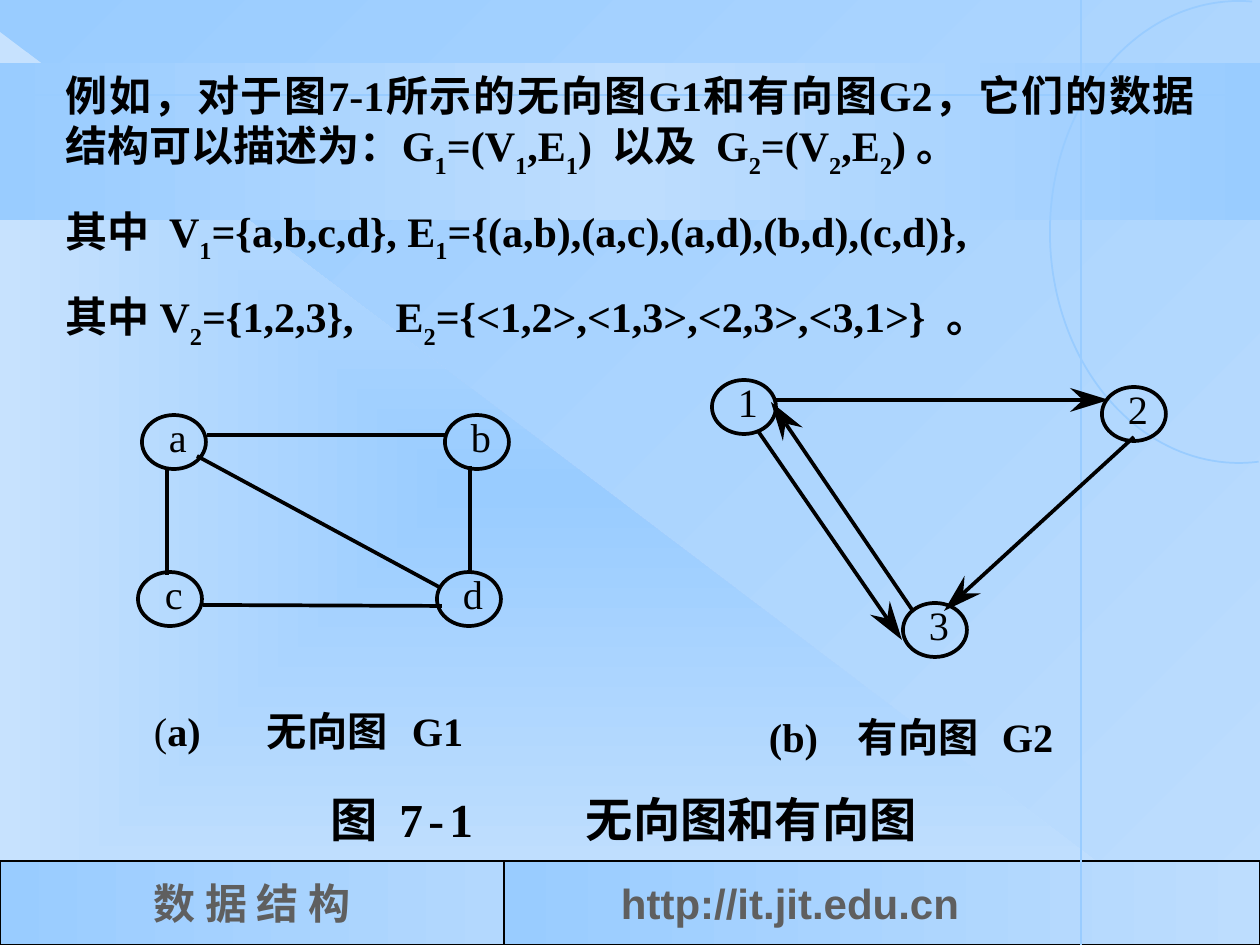
from math import cos, hypot, radians, sin
from lxml import etree
from pptx import Presentation
from pptx.dml.color import RGBColor
from pptx.enum.shapes import MSO_CONNECTOR, MSO_SHAPE
from pptx.enum.text import MSO_ANCHOR, MSO_AUTO_SIZE, PP_ALIGN
from pptx.oxml.ns import qn
from pptx.util import Pt

RECT, OVAL, WEDGE = MSO_SHAPE.RECTANGLE, MSO_SHAPE.OVAL, MSO_SHAPE.RIGHT_TRIANGLE
LINE = MSO_CONNECTOR.STRAIGHT
LEFT, CENTER, FULL = PP_ALIGN.LEFT, PP_ALIGN.CENTER, PP_ALIGN.JUSTIFY
TOP, MIDDLE = MSO_ANCHOR.TOP, MSO_ANCHOR.MIDDLE
PX = 914400 // 126
SERIF, SANS, HAN = "Times New Roman", "Arial", "Noto Sans CJK SC"
HEX = {"sky": "99CCFF", "pale": "BDDDFE", "mist": "C7E2FE", "soft": "B3D8FE",
       "ink": "000000", "gray": "5F5F5F"}

# Content: "_" lowers the next character
BODY = [
    "例如，对于图7-1所示的无向图G1和有向图G2，它们的数据结构可以描述为：G_1=(V_1,E_1)  以及  G_2=(V_2,E_2) 。",
    "其中  V_1={a,b,c,d}, E_1={(a,b),(a,c),(a,d),(b,d),(c,d)},",
    "其中 V_2={1,2,3},    E_2={<1,2>,<1,3>,<2,3>,<3,1>}  。",
]
TITLE = ("图 7-1", "无向图和有向图")
NODES = {"a": (174, 442), "b": (477, 442), "c": (170, 599), "d": (469, 599),
         "1": (744, 407), "2": (1134, 414), "3": (935, 630)}
EDGES = [(207, 435, 446, 435), (203, 605, 442, 606), (167, 470, 167, 575),
         (470, 466, 470, 571), (197, 456, 441, 588)]
ARROWS = [(775, 400, 1109, 400), (1134, 437, 944, 611),
          (913, 611, 771, 402), (758, 431, 902, 640)]
NOTES = [  # left, middle, tab stops, (text, bold) runs
    (154, 730, (113, 258), [("(", False), ("a)\t无向图\tG1", True)]),
    (769, 736, (89, 233), [("(b)\t有向图\tG2", True)]),
]
FOOT = [  # left, width, stops, text, font, align, left inset
    (0, 504, ("sky", "soft"), "数 据 结 构", SERIF, CENTER, 13),
    (504, 756, ("sky", "pale"), "http://it.jit.edu.cn", SANS, LEFT, 117),
]

deck = Presentation()
deck.slide_width, deck.slide_height = 1260 * PX, 945 * PX
slide = deck.slides.add_slide(deck.slide_layouts[1])
shapes = slide.shapes


def color(name):
    return RGBColor.from_string(HEX[name])


def blend(fill, root, names, angle=None):
    """Gradient at a clockwise angle, or from the centre out when none."""
    fill.gradient()
    grad = root.find(".//" + qn("a:gradFill"))
    for child in list(grad):
        grad.remove(child)
    stops = etree.SubElement(grad, qn("a:gsLst"))
    for i, name in enumerate(names):
        stop = etree.SubElement(stops, qn("a:gs"), pos=str(100000 * i // (len(names) - 1)))
        etree.SubElement(stop, qn("a:srgbClr"), val=HEX[name])
    if angle is None:
        way = etree.SubElement(grad, qn("a:path"), path="rect")
        etree.SubElement(way, qn("a:fillToRect"), l="50000", t="50000", r="50000", b="50000")
    else:
        etree.SubElement(grad, qn("a:lin"), ang=str(angle * 60000), scaled="0")


def place(shape, x, y, w, h):
    shape.left, shape.top, shape.width, shape.height = (v * PX for v in (x, y, w, h))


def pen(shape, name, width):
    shape.line.color.rgb = color(name)
    shape.line.width = Pt(width)


def block(kind, x, y, w, h):
    shape = shapes.add_shape(kind, *(v * PX for v in (x, y, w, h)))
    shape.shadow.inherit = False
    shape.line.fill.background()
    return shape


def stroke(x1, y1, x2, y2, name="ink", width=2.13):
    line = shapes.add_connector(LINE, *(round(v * PX) for v in (x1, y1, x2, y2)))
    etree.SubElement(line._element.spPr, qn("a:effectLst"))
    pen(line, name, width)


def outline(points, close):
    dots = [(round(x * PX), round(y * PX)) for x, y in points]
    path = shapes.build_freeform(*dots[0])
    path.add_line_segments(dots[1:], close=close)
    shape = path.convert_to_shape()
    shape.shadow.inherit = False
    return shape


def frame(shape, inset=(0, 0, 0, 0), anchor=MIDDLE, wrap=True):
    box = shape.text_frame
    box.word_wrap, box.auto_size = wrap, MSO_AUTO_SIZE.NONE
    box.vertical_anchor = anchor
    box.margin_left, box.margin_top, box.margin_right, box.margin_bottom = (v * PX for v in inset)
    return box


def tabs(para, stops):
    group = etree.SubElement(para._p.get_or_add_pPr(), qn("a:tabLst"))
    for x in stops:
        etree.SubElement(group, qn("a:tab"), pos=str(x * PX), algn="l")


def write(para, text, size, bold=True, name="ink", face=SERIF, **extra):
    run = para.add_run()
    run.text = text
    font = run.font
    font.size, font.bold, font.color.rgb, font.name = Pt(size), bold, color(name), face
    props = run._r.get_or_add_rPr()
    etree.SubElement(props, qn("a:ea"), typeface=HAN)
    for key, value in extra.items():
        props.set(key, value)


# Backdrop
blend(slide.background.fill, slide._element, ("pale", "sky"), 225)
wedge = block(WEDGE, 0, 32, 1207, 913)
blend(wedge.fill, wedge._element, ("sky", "mist"))
band = block(RECT, 0, 63, 1260, 157)
blend(band.fill, band._element, ("sky", "pale", "sky"), 180)

# Footer
for x, w, stops, text, face, align, inset in FOOT:
    cell = block(RECT, x, 861, w, 84)
    blend(cell.fill, cell._element, stops, 0)
    pen(cell, "ink", 1.5)
    para = frame(cell, (inset, 6, 13, 6)).paragraphs[0]
    para.alignment = align
    write(para, text, 24, name="gray", face=face)

# Guide lines and arc
stroke(0, 95, 1260, 95, "sky", 1)
stroke(1081, 0, 1081, 945, "sky", 1.5)
arc = outline([(1239 + 189 * cos(radians(t)), 232 + 231 * sin(radians(t)))
               for t in range(84, 275, 2)], False)
arc.fill.background()
pen(arc, "sky", 1)

# Graph edges
for edge in EDGES:
    stroke(*edge)
for x1, y1, x2, y2 in ARROWS:
    span = hypot(x2 - x1, y2 - y1)
    ux, uy = (x2 - x1) / span, (y2 - y1) / span
    head = [(x2 - back * ux - side * uy, y2 - back * uy + side * ux)
            for back, side in ((0, 0), (39, 12), (26, 0), (39, -12))]
    stroke(x1, y1, *head[2])
    tip = outline(head, True)
    tip.fill.solid()
    tip.fill.fore_color.rgb = color("ink")
    tip.line.fill.background()

# Graph nodes
for label, (x, y) in NODES.items():
    node = block(OVAL, x - 32, y - 27, 64, 54)
    node.fill.background()
    pen(node, "ink", 2.13)
    para = frame(node, (8, 0, 0, 12), wrap=False).paragraphs[0]
    para.alignment = CENTER
    write(para, label, 23, False)

# Graph captions
for x, y, stops, runs in NOTES:
    note = shapes.add_textbox(x * PX, (y - 24) * PX, 330 * PX, 48 * PX)
    para = frame(note).paragraphs[0]
    tabs(para, stops)
    for text, bold in runs:
        write(para, text, 23, bold)

# Figure title
title = shapes.title
place(title, 331, 790, 600, 58)
para = frame(title).paragraphs[0]
para.alignment = LEFT
tabs(para, (255,))
write(para, TITLE[0], 27, spc="300")
write(para, "\t" + TITLE[1], 27)

# Body text
body = slide.placeholders[1]
place(body, 53, 63, 1155, 295)
box = frame(body, (13, 6, 13, 6), TOP)
for i, text in enumerate(BODY):
    para = box.paragraphs[0] if i == 0 else box.add_paragraph()
    props = para._p.get_or_add_pPr()
    props.set("marL", "0")
    props.set("indent", "0")
    etree.SubElement(props, qn("a:buNone"))
    para.alignment = FULL
    para.space_before = Pt(15 if i else 0)
    first, *rest = text.split("_")
    write(para, first, 24)
    for part in rest:
        write(para, part[0], 24, baseline="-30000")
        write(para, part[1:], 24)

# Placeholders go in front of the backdrop
for holder in (title, body):
    shapes._spTree.append(holder._element)

deck.save("out.pptx")
